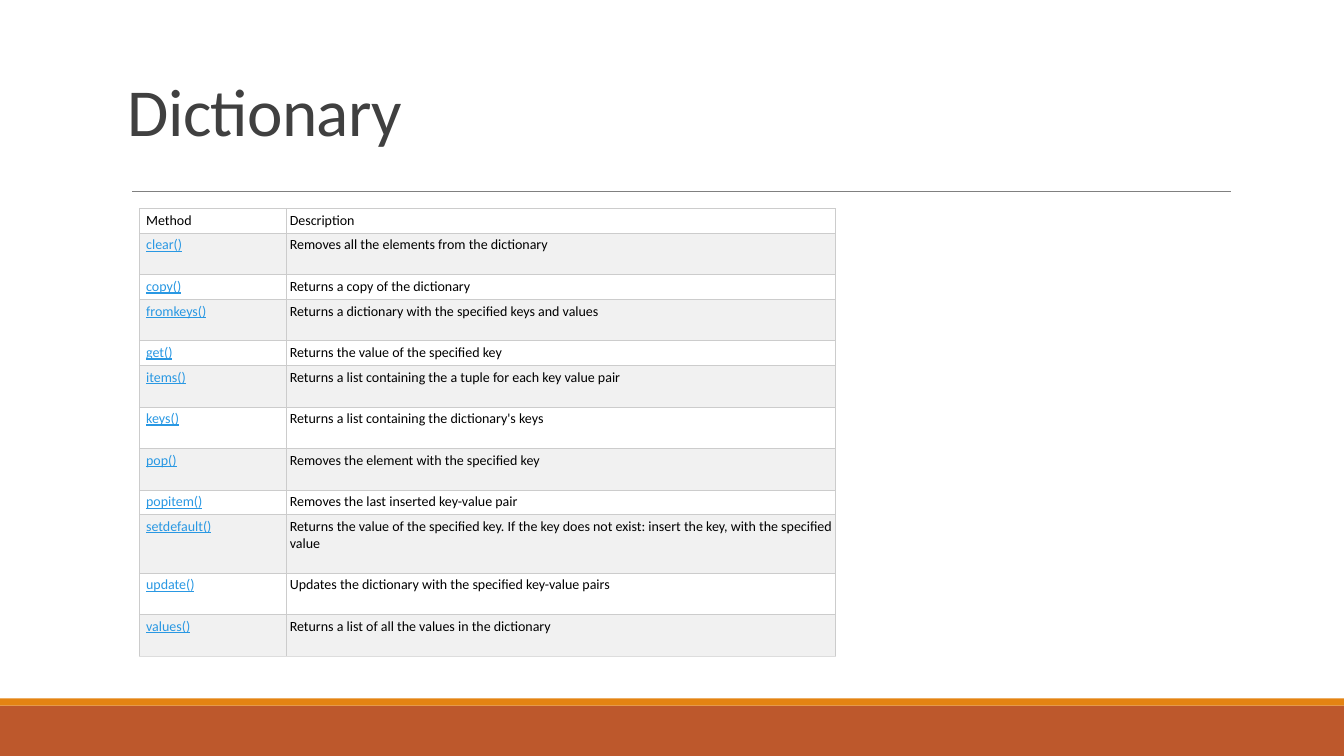
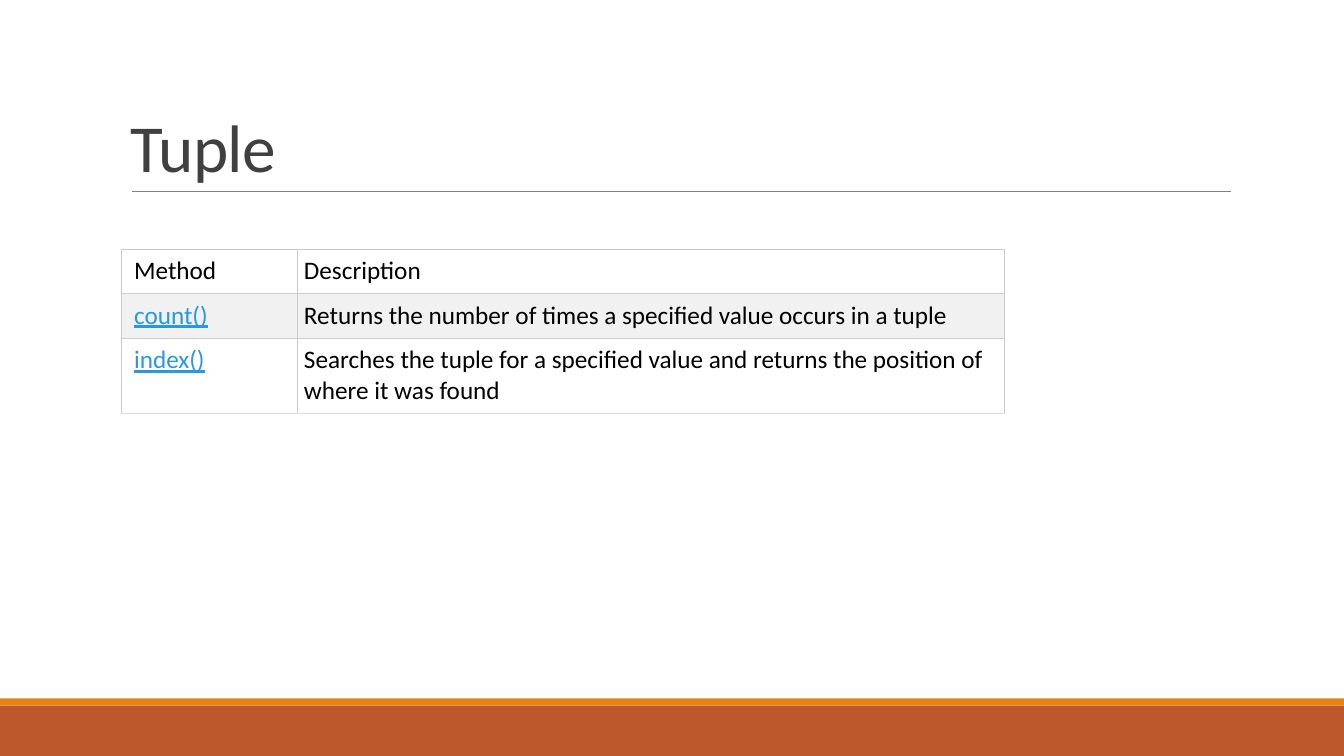
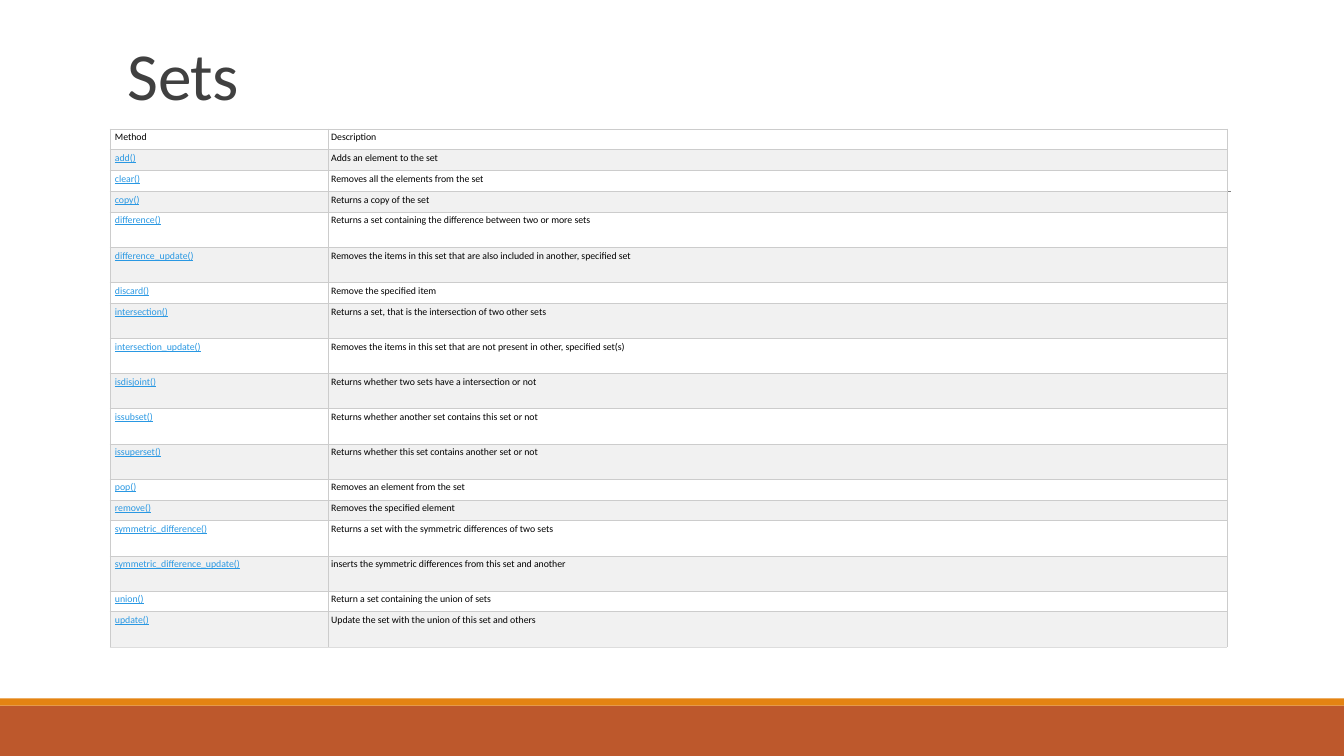
from lxml.etree import SubElement
from pptx import Presentation
from pptx.dml.color import RGBColor
from pptx.enum.shapes import MSO_CONNECTOR, MSO_SHAPE
from pptx.enum.text import MSO_ANCHOR
from pptx.oxml.ns import qn
from pptx.util import Inches, Pt

FONT = "Calibri"
COLOURS = {
    "footer": "BD582C", "stripe": "E48312", "rule": "808080",
    "title": "404040", "text": "000000", "method": "2998E3",
    "plain": "FFFFFF", "shaded": "F1F1F1",
    "grid": "CCCCCC", "grid_end": "DDDDDD",
}
SLIDE_SIZE = (13.33, 7.5)
BANDS = [("footer", 7, 0.5), ("stripe", 6.93, 0.07)]  # colour, top, height
RULE = (1.31, 12.21, 1.9)  # from x, to x, y
GRID_WIDTH = 0.6
ROW_PADDING = 0.45  # in text lines
HEADER = ("Method", "Description", 1)

# Each row holds method, description and the number of text lines it has room for.
TOPICS = [
    {
        "title": "Dictionary", "title_box": (1.17, 0.47, 11, 1.07),
        "table_at": (1.38, 2.07), "height": 4.44, "columns": (1.46, 5.45),
        "size": 10, "indent": 0.07,
        "rows": [
            ("clear()", "Removes all the elements from the dictionary", 2),
            ("copy()", "Returns a copy of the dictionary", 1),
            ("fromkeys()", "Returns a dictionary with the specified keys and values", 2),
            ("get()", "Returns the value of the specified key", 1),
            ("items()", "Returns a list containing the a tuple for each key value pair", 2),
            ("keys()", "Returns a list containing the dictionary's keys", 2),
            ("pop()", "Removes the element with the specified key", 2),
            ("popitem()", "Removes the last inserted key-value pair", 1),
            ("setdefault()", "Returns the value of the specified key. If the key does not "
             "exist: insert the key, with the specified value", 3),
            ("update()", "Updates the dictionary with the specified key-value pairs", 2),
            ("values()", "Returns a list of all the values in the dictionary", 2),
        ],
    },
    {
        "title": "Tuple", "title_box": (1.2, 0.31, 11, 1.59),
        "table_at": (1.2, 2.47), "height": 1.63, "columns": (1.75, 7.01),
        "size": 18, "indent": 0.13,
        "rows": [
            ("count()", "Returns the number of times a specified value occurs in a tuple", 1),
            ("index()", "Searches the tuple for a specified value and returns the "
             "position of where it was found", 2),
        ],
    },
    {
        "title": "Sets", "title_box": (1.17, 0.25, 11, 0.93),
        "table_at": (1.09, 1.28), "height": 5.14, "columns": (2.17, 8.91),
        "size": 7, "indent": 0.05,
        "rows": [
            ("add()", "Adds an element to the set", 1),
            ("clear()", "Removes all the elements from the set", 1),
            ("copy()", "Returns a copy of the set", 1),
            ("difference()", "Returns a set containing the difference between two or more "
             "sets", 2),
            ("difference_update()", "Removes the items in this set that are also included in "
             "another, specified set", 2),
            ("discard()", "Remove the specified item", 1),
            ("intersection()", "Returns a set, that is the intersection of two other sets", 2),
            ("intersection_update()", "Removes the items in this set that are not present in "
             "other, specified set(s)", 2),
            ("isdisjoint()", "Returns whether two sets have a intersection or not", 2),
            ("issubset()", "Returns whether another set contains this set or not", 2),
            ("issuperset()", "Returns whether this set contains another set or not", 2),
            ("pop()", "Removes an element from the set", 1),
            ("remove()", "Removes the specified element", 1),
            ("symmetric_difference()", "Returns a set with the symmetric differences of two "
             "sets", 2),
            ("symmetric_difference_update()", "inserts the symmetric differences from this "
             "set and another", 2),
            ("union()", "Return a set containing the union of sets", 1),
            ("update()", "Update the set with the union of this set and others", 2),
        ],
    },
]


def rgb(name):
    """Return the named colour."""
    return RGBColor.from_string(COLOURS[name])


def add_run(paragraph, text, size, colour):
    """Add one styled run and return it."""
    run = paragraph.add_run()
    run.text = text
    run.font.name = FONT
    run.font.size = Pt(size)
    run.font.bold = False
    run.font.color.rgb = rgb(colour)
    return run


def add_frame(slide):
    """Draw the footer bands and the rule that every slide shares."""
    for colour, top, height in BANDS:
        band = slide.shapes.add_shape(
            MSO_SHAPE.RECTANGLE, 0, Inches(top), Inches(SLIDE_SIZE[0]), Inches(height))
        band.shadow.inherit = False
        band.fill.solid()
        band.fill.fore_color.rgb = rgb(colour)
        band.line.fill.background()
    left, right, y = map(Inches, RULE)
    rule = slide.shapes.add_connector(MSO_CONNECTOR.STRAIGHT, left, y, right, y)
    rule.line.color.rgb = rgb("rule")
    rule.line.width = Pt(0.5)
    SubElement(rule._element.spPr, qn("a:effectLst"))


def add_title(slide, text, box):
    """Add the large title, standing on the bottom of its box."""
    frame = slide.shapes.add_textbox(*map(Inches, box)).text_frame
    frame.word_wrap = True
    frame.vertical_anchor = MSO_ANCHOR.BOTTOM
    paragraph = frame.paragraphs[0]
    paragraph.line_spacing = 0.85
    run = add_run(paragraph, text, 48, "title")
    run.font._element.set("spc", "-50")


def set_borders(cell, is_last):
    """Outline a cell; the bottom edge of the table is lighter."""
    properties = cell._tc.get_or_add_tcPr()
    for side in "LRTB":
        edge = SubElement(properties, qn(f"a:ln{side}"), w=str(Pt(GRID_WIDTH)))
        colour = "grid_end" if is_last and side == "B" else "grid"
        fill = SubElement(edge, qn("a:solidFill"))
        SubElement(fill, qn("a:srgbClr"), val=COLOURS[colour])


def add_methods(slide, topic):
    """Add the method table, sharing its height out by text lines."""
    rows = [HEADER] + topic["rows"]
    widths = topic["columns"]
    line_height = topic["height"] / sum(lines + ROW_PADDING for *_, lines in rows)
    table = slide.shapes.add_table(
        len(rows), len(widths), *map(Inches, topic["table_at"]),
        Inches(sum(widths)), Inches(topic["height"])).table
    table.first_row = table.horz_banding = False
    for column, width in zip(table.columns, widths):
        column.width = Inches(width)

    padding = Inches(topic["indent"] / 2)
    for r, (*texts, lines) in enumerate(rows):
        table.rows[r].height = Inches((lines + ROW_PADDING) * line_height)
        for c, text in enumerate(texts):
            cell = table.cell(r, c)
            is_method = r > 0 and c == 0
            cell.margin_right = cell.margin_top = cell.margin_bottom = padding
            cell.margin_left = Inches(topic["indent"]) if c == 0 else padding
            set_borders(cell, r == len(rows) - 1)
            cell.fill.solid()
            cell.fill.fore_color.rgb = rgb("shaded" if r % 2 else "plain")
            run = add_run(cell.text_frame.paragraphs[0], text, topic["size"],
                          "method" if is_method else "text")
            run.font.underline = is_method


deck = Presentation()
deck.slide_width, deck.slide_height = map(Inches, SLIDE_SIZE)
for topic in TOPICS:
    slide = deck.slides.add_slide(deck.slide_layouts[6])
    add_frame(slide)
    add_title(slide, topic["title"], topic["title_box"])
    add_methods(slide, topic)
deck.save("out.pptx")
